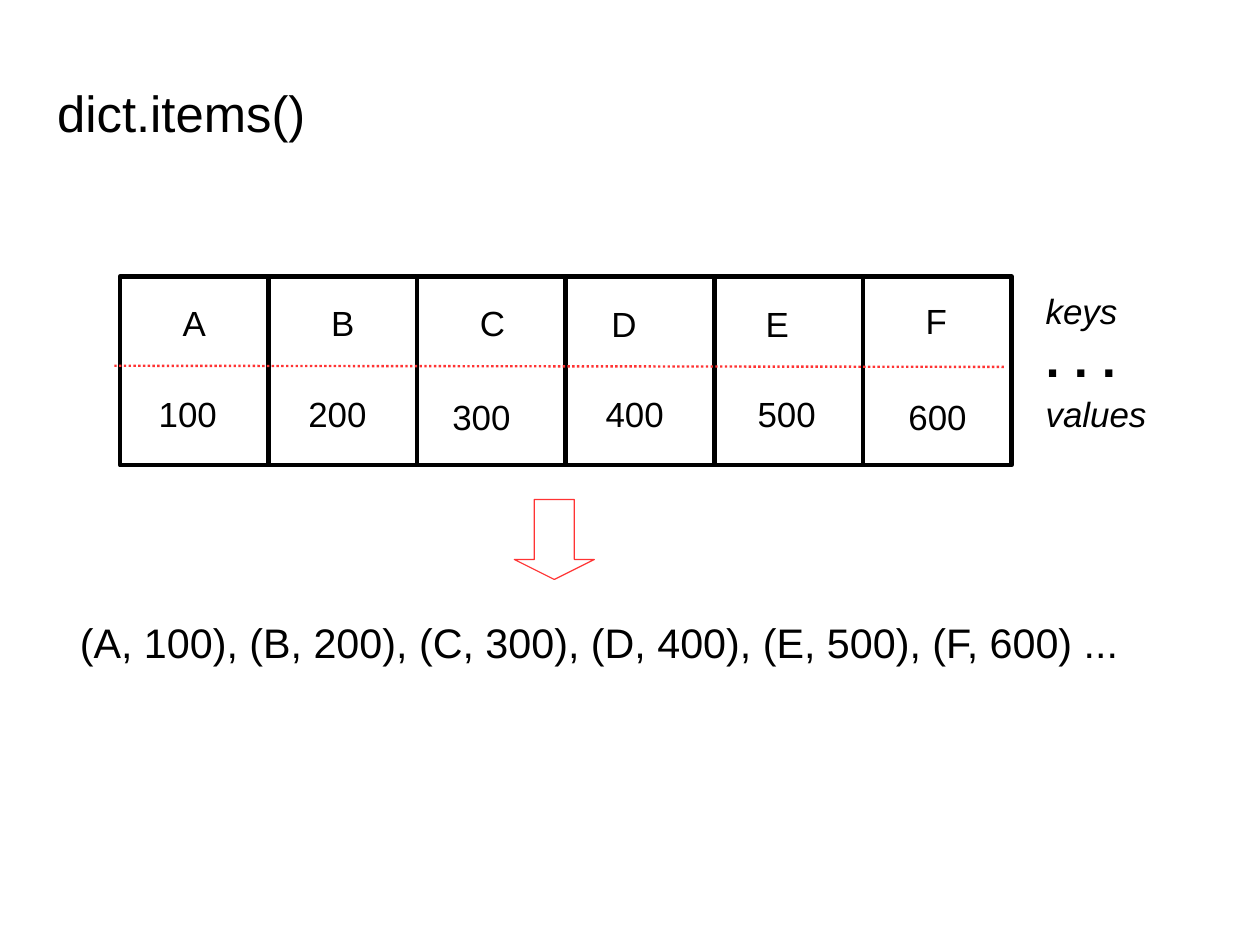
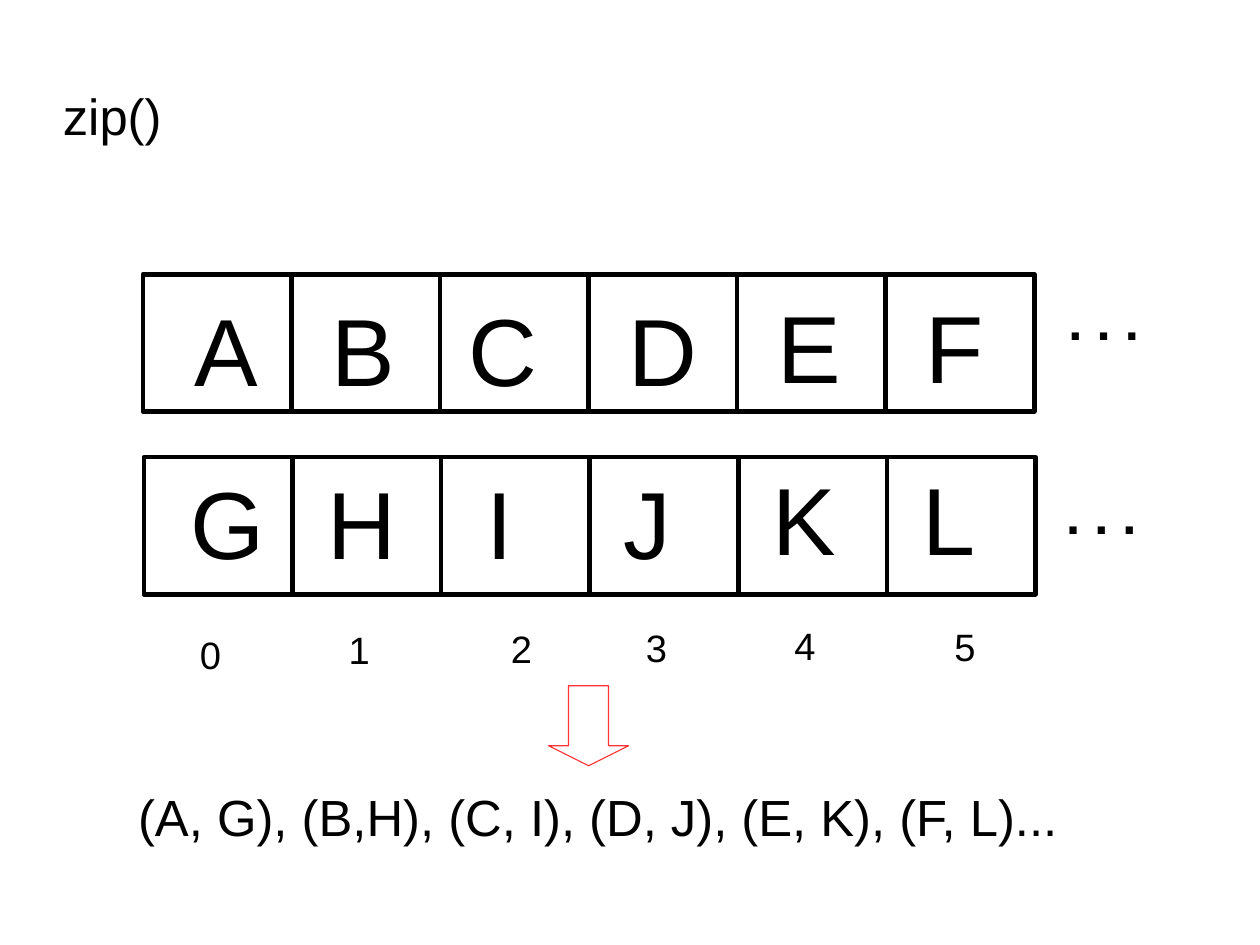
from lxml import etree
from pptx import Presentation
from pptx import util as u
from pptx.dml.color import RGBColor
from pptx.enum import dml, shapes, text
from pptx.oxml.ns import qn

BLACK = RGBColor(0x00, 0x00, 0x00)
RED = RGBColor(0xFF, 0x33, 0x33)
FONT = "Arial"
CELL_W = 130
CELL_COUNT = 6
ARROW_SIZE = 70


def px(n):
    """Convert px, 100 to the inch, into EMU."""
    return u.Emu(n * 9144)


def add_text(s, words, x, y, w, h, size, inset=(10, 7, 10, 5), bold=False,
             italic=False, anchor=text.MSO_ANCHOR.TOP):
    tf = s.shapes.add_textbox(px(x), px(y), px(w), px(h)).text_frame
    tf.word_wrap = True
    tf.vertical_anchor = anchor
    tf.margin_left, tf.margin_top, tf.margin_right, tf.margin_bottom = map(px, inset)
    p = tf.paragraphs[0]
    p.text = words
    p.line_spacing = 0.93
    p.font.name, p.font.size = FONT, u.Pt(size)
    p.font.bold, p.font.italic = bold, italic
    p.font.color.rgb = BLACK


def add_title(s, words, x, y):
    add_text(s, words, x, y, 787, 79, 32, (0, 3, 0, 0), anchor=text.MSO_ANCHOR.MIDDLE)


def add_dots(s, x, y):
    add_text(s, ". . .", x, y, 100, 60, 32, (10, 8, 10, 5), bold=True)


def add_outline(s, kind, x, y, w, h, color, weight):
    sp = s.shapes.add_shape(kind, px(x), px(y), px(w), px(h))
    sp.shadow.inherit = False
    sp.fill.background()
    sp.line.color.rgb = color
    sp.line.width = u.Pt(weight)
    return sp


def add_cells(s, x, y, h):
    for i in range(CELL_COUNT):
        add_outline(s, shapes.MSO_SHAPE.RECTANGLE, x + i * CELL_W, y, CELL_W, h, BLACK, 2.89)


def add_labels(s, words, lefts, tops, h, size, inset=(10, 7, 10, 5)):
    """Place one label per cell, each at its own left and top."""
    for word, x, y in zip(words, lefts, tops):
        add_text(s, word, x, y, 90, h, size, inset)


def add_down_arrow(s, x, y):
    sp = add_outline(s, shapes.MSO_SHAPE.DOWN_ARROW, x, y, ARROW_SIZE, ARROW_SIZE, RED, 0.75)
    sp.adjustments[0], sp.adjustments[1] = 0.5, 0.25


def add_dotted_line(s, x1, y1, x2, y2):
    line = s.shapes.add_connector(shapes.MSO_CONNECTOR.STRAIGHT, px(x1), px(y1), px(x2), px(y2))
    line.line.color.rgb = RED
    line.line.width = u.Pt(1.5)
    line.line.dash_style = dml.MSO_LINE.ROUND_DOT
    etree.SubElement(line._element.spPr, qn("a:effectLst"))


def build_items_slide(s):
    add_title(s, "dict.items()", 50, 60)
    add_cells(s, 105, 242, 165)
    add_labels(s, "ABCDEF", (150, 280, 410, 525, 660, 800),
               (260, 260, 260, 261, 261, 258), 50, 22)
    add_labels(s, ("100", "200", "300", "400", "500", "600"),
               (129, 260, 386, 520, 653, 785), (340, 340, 342, 340, 340, 342), 50, 22)
    add_dotted_line(s, 100, 320, 880, 321)
    add_text(s, "keys", 905, 250, 95, 60, 22, italic=True)
    add_dots(s, 905, 283)
    add_text(s, "values", 905, 340, 115, 60, 22, italic=True)
    add_down_arrow(s, 450, 437)
    add_text(s, "(A, 100), (B, 200), (C, 300), (D, 400), (E, 500), (F, 600) ...",
             60, 537, 990, 100, 26)


def build_zip_slide(s):
    add_title(s, "zip()", 55, 63)
    letter_inset = (10, 11, 10, 5)
    add_cells(s, 125, 240, 120)
    add_labels(s, "ABCDEF", (160, 280, 400, 540, 670, 800),
               (253, 253, 253, 253, 250, 250), 103, 60, letter_inset)
    add_dots(s, 925, 250)
    add_cells(s, 126, 400, 120)
    add_labels(s, "GHIJKL", (157, 277, 416, 536, 666, 797),
               (404, 404, 404, 404, 401, 401), 103, 60, letter_inset)
    add_dots(s, 923, 420)
    add_labels(s, "012345", (175, 305, 447, 565, 695, 835),
               (554, 550, 549, 548, 546, 547), 37, 24, (0, 2, 0, 0))
    add_down_arrow(s, 480, 600)
    add_text(s, "(A, G), (B,H), (C, I), (D, J), (E, K), (F, L)...",
             111, 684, 860, 70, 32, (10, 8, 10, 5))


def main():
    prs = Presentation()
    prs.slide_width, prs.slide_height = u.Cm(28), u.Cm(21)
    for build in (build_items_slide, build_zip_slide):
        build(prs.slides.add_slide(prs.slide_layouts[6]))
    prs.save("out.pptx")


if __name__ == "__main__":
    main()
